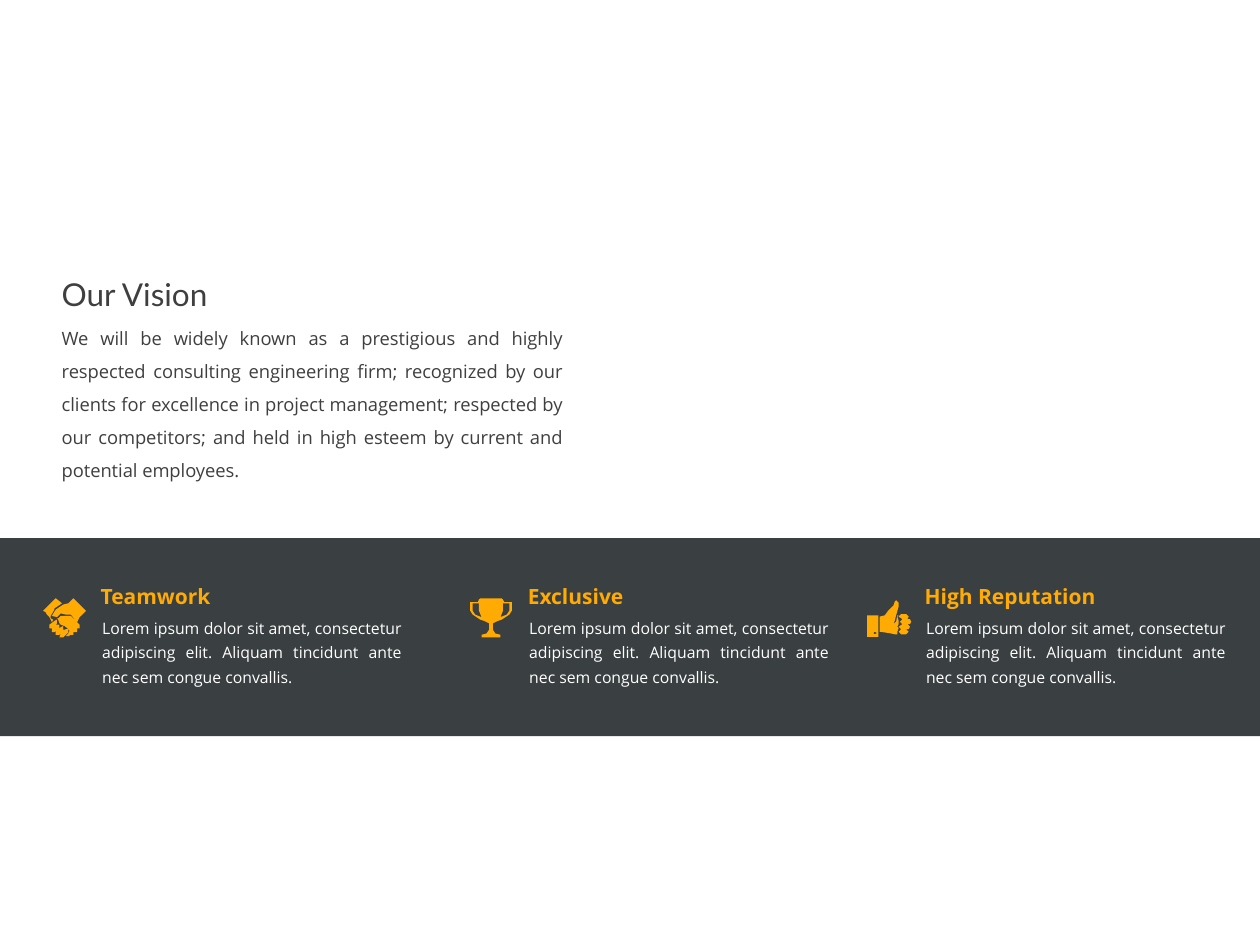
from dataclasses import dataclass

from lxml import etree
from pptx import Presentation
from pptx.dml import color
from pptx.enum import shapes, text
from pptx.oxml import ns
from pptx.util import Cm, Pt


@dataclass(frozen=True)
class Theme:
    """Colours, fonts and type sizes of the slide."""
    ink: str = "3F3F3F"
    band: str = "181E20"
    accent: str = "FFAB03"
    light: str = "FFFFFF"
    title_font: str = "Lato"
    body_font: str = "Open Sans"
    title_size: float = 18
    vision_size: float = 10.5
    heading_size: float = 12
    detail_size: float = 9


THEME = Theme()
ICON_UNIT = Cm(0.0254)

HANDSHAKE = [
    [(5, 15), (4, 14), (3, 13), (2, 11), (0, 10), (10, 0), (15, 4), (12, 6), (9, 8),
     (9, 9), (6, 14), (6, 16), (8, 17), (7, 19), (6, 17)],
    [(22, 14), (14, 14), (12, 16), (11, 16), (12, 17), (13, 20), (14, 21), (17, 22),
     (18, 23), (20, 24), (21, 26), (20, 28), (18, 30), (21, 30), (21, 29), (24, 29),
     (24, 27), (27, 27), (27, 24), (29, 24), (29, 21)],
    [(20, 24), (17, 25), (16, 25), (16, 22), (14, 23), (13, 24), (13, 21), (10, 21),
     (11, 20), (11, 17), (9, 18), (5, 21), (5, 24), (7, 24), (7, 27), (9, 27), (10, 26),
     (10, 29), (13, 29), (14, 28), (13, 31), (16, 31), (20, 27)],
    [(24, 0), (20, 4), (16, 5), (10, 9), (7, 14), (11, 15), (14, 12), (18, 13),
     (22, 13), (27, 19), (29, 15), (30, 14), (34, 10)],
]
CUP_HALF = [(16.5, 0), (8, 0), (7, 1), (6, 3), (0, 3), (0, 10), (2, 13), (8, 17),
            (11, 18), (15, 20), (15, 25), (13, 28), (9, 29), (9, 31), (16.5, 31)]
CUP_HANDLE = [(2, 4), (7, 4), (7, 10), (9, 15), (4, 13), (2, 10)]
THUMB = [
    [(0, 12), (9, 12), (9, 29), (0, 29)],
    [(5, 26), (6, 25), (8, 26), (6, 27)],
    [(10, 13), (14, 12), (17, 8), (21, 4), (22, 1), (23, 0), (25, 2), (25, 5), (23, 12),
     (22, 16), (21, 19), (23, 17), (24, 12), (25, 12), (24, 13), (25, 16), (25, 19),
     (24, 21), (25, 22), (24, 25), (24, 27), (22, 27), (17, 26), (10, 25)],
    [(27, 11), (31, 11), (33, 13), (32, 15), (34, 15), (35, 17), (34, 19), (32, 19),
     (34, 21), (33, 23), (31, 23), (33, 25), (31, 27), (27, 27), (25, 25), (27, 23),
     (25, 21), (28, 19), (26, 17), (28, 15), (25, 13)],
]


def mirrored(points):
    """Return the points reflected about the middle of the cup, in reverse order."""
    return [(33 - x, y) for x, y in reversed(points)]


TROPHY = [CUP_HALF + mirrored(CUP_HALF), CUP_HANDLE, mirrored(CUP_HANDLE)]


def apply(target, formats):
    """Set every attribute of the target named in the formats."""
    for name, value in formats.items():
        setattr(target, name, value)


def place(shape, left, top, width, height):
    """Move and size a shape, in centimetres."""
    apply(shape, {"left": Cm(left), "top": Cm(top), "width": Cm(width), "height": Cm(height)})


def write(shape, words, font, size, ink, bold=False, frame=None, para=None):
    """Fill a text shape with one formatted paragraph."""
    apply(shape.text_frame, {"word_wrap": True, "auto_size": text.MSO_AUTO_SIZE.NONE,
                             "vertical_anchor": text.MSO_ANCHOR.TOP, **(frame or {})})
    line = shape.text_frame.paragraphs[0]
    apply(line, {"alignment": text.PP_ALIGN.LEFT, "space_before": Pt(0), **(para or {})})
    span = line.add_run()
    span.text = words
    apply(span.font, {"name": font, "size": Pt(size), "bold": bold})
    span.font.color.rgb = color.RGBColor.from_string(ink)
    return line


def paint(shape, ink):
    """Give a shape a plain fill without line or shadow."""
    shape.shadow.inherit = False
    shape.fill.solid()
    shape.fill.fore_color.rgb = color.RGBColor.from_string(ink)
    shape.line.fill.background()


def add_icon(page, left, top, outlines):
    """Draw an icon made of closed outlines at the given corner."""
    builder = page.shapes.build_freeform(*outlines[0][0], scale=ICON_UNIT)
    for index, outline in enumerate(outlines):
        if index:
            builder.move_to(*outline[0])
        builder.add_line_segments(outline[1:], close=True)
    paint(builder.convert_to_shape(Cm(left), Cm(top)), THEME.accent)


def add_vision(page, left, top, width, height):
    """Place the title and the vision statement in a box."""
    title, body = page.shapes.title, page.placeholders[1]
    place(title, left, top, 8.26, 1.02)
    write(title, "Our Vision", THEME.title_font, THEME.title_size, THEME.ink)
    place(body, left, top + 0.84, width, height - 0.84)
    line = write(
        body,
        "We will be widely known as a prestigious and highly respected consulting "
        "engineering firm; recognized by our clients for excellence in project management; "
        "respected by our competitors; and held in high esteem by current and potential "
        "employees.",
        THEME.body_font, THEME.vision_size, THEME.ink,
        para={"alignment": text.PP_ALIGN.JUSTIFY, "line_spacing": 1.5})
    properties = line._p.get_or_add_pPr()
    properties.set("marL", "0")
    properties.set("indent", "0")
    etree.SubElement(properties, ns.qn("a:buNone"))


def add_value(page, left, top, heading, icon, icon_drop):
    """Place an icon, a heading and a detail text at the given corner."""
    add_icon(page, left, top + icon_drop, icon)
    middle = {"vertical_anchor": text.MSO_ANCHOR.MIDDLE,
              "auto_size": text.MSO_AUTO_SIZE.SHAPE_TO_FIT_TEXT}
    label = page.shapes.add_textbox(0, 0, 0, 0)
    write(label, heading, THEME.body_font, THEME.heading_size, THEME.accent, True,
          {**middle, "margin_top": 0, "margin_bottom": 0})
    place(label, left + 0.91, top, 5.08, 0.51)
    detail = page.shapes.add_textbox(0, 0, 0, 0)
    write(detail, "Lorem ipsum dolor sit amet, consectetur adipiscing elit. "
                  "Aliquam tincidunt ante nec sem congue convallis.",
          THEME.body_font, THEME.detail_size, THEME.light, frame=middle,
          para={"alignment": text.PP_ALIGN.JUSTIFY, "line_spacing": 1.3})
    place(detail, left + 0.94, top + 0.46, 6.53, 1.75)


def add_band(page, left, top, width, height):
    """Place the dark band and its three values."""
    band = page.shapes.add_shape(shapes.MSO_SHAPE.RECTANGLE, Cm(left), Cm(top),
                                 Cm(width), Cm(height))
    paint(band, THEME.band)
    tint = band._element.spPr.find(".//" + ns.qn("a:srgbClr"))
    etree.SubElement(tint, ns.qn("a:alpha"), val="85000")
    values = [(0.87, "Teamwork", HANDSHAKE, 0.3),
              (9.48, "Exclusive", TROPHY, 0.3),
              (17.48, "High Reputation", THUMB, 0.34)]
    for offset, heading, icon, icon_drop in values:
        add_value(page, left + offset, top + 0.91, heading, icon, icon_drop)


def main():
    """Build and save the deck."""
    deck = Presentation()
    apply(deck, {"slide_width": Cm(25.4), "slide_height": Cm(19.05)})
    page = deck.slides.add_slide(deck.slide_layouts[1])
    add_vision(page, 0.99, 5.41, 10.62, 4.02)
    add_band(page, 0, 10.85, 25.4, 3.99)
    deck.save("out.pptx")


main()
